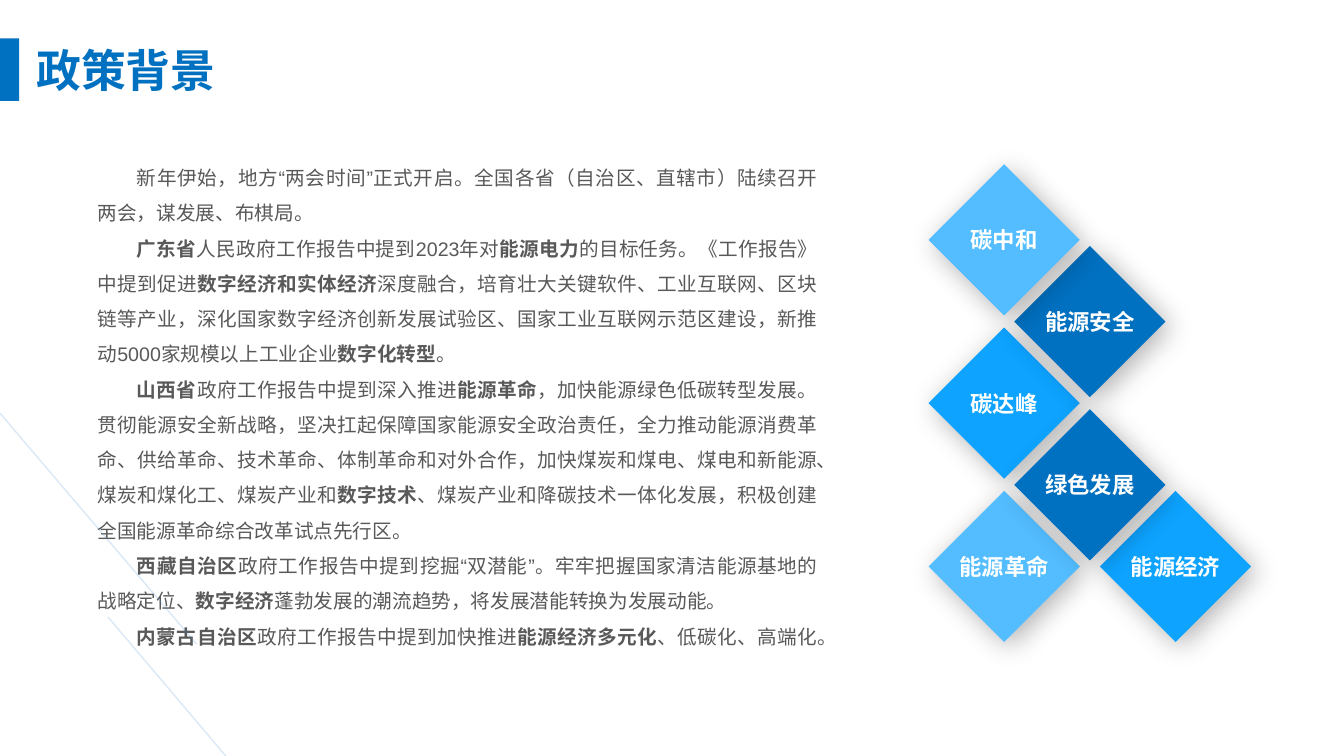
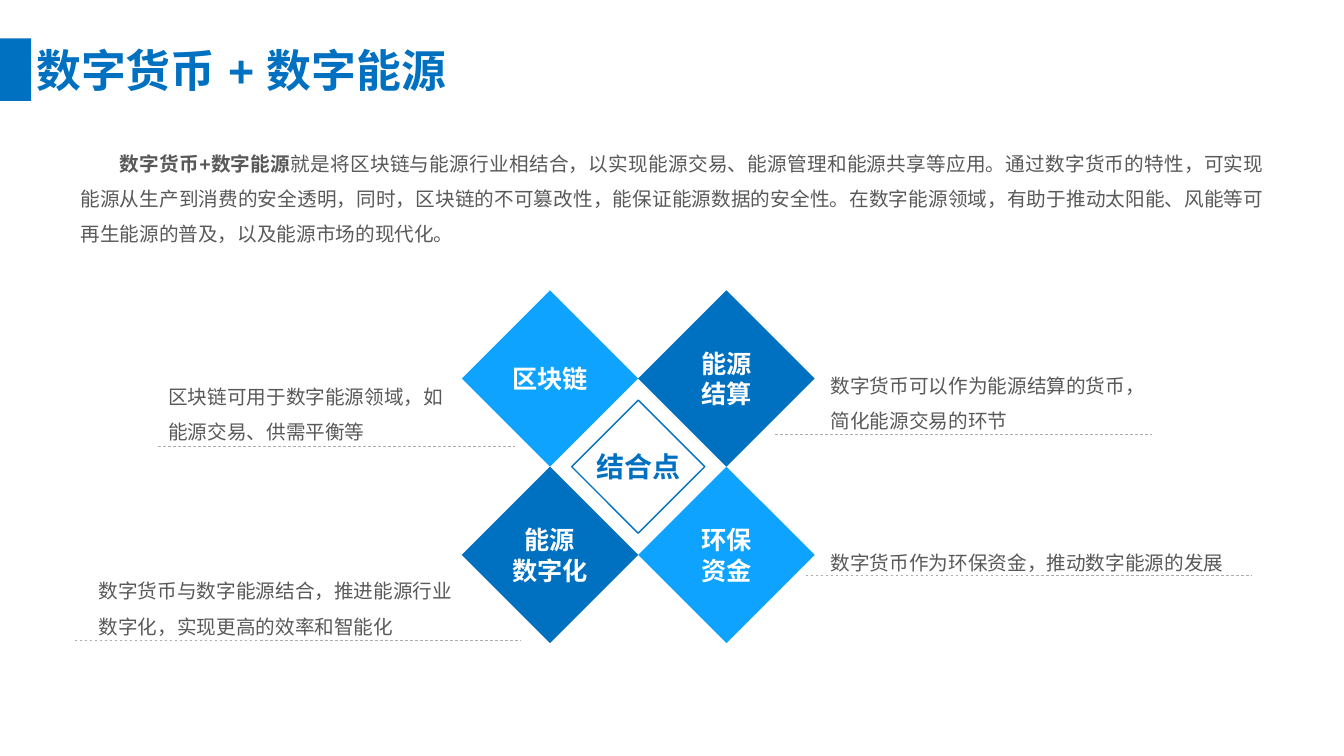
from dataclasses import dataclass

from lxml import etree
from pptx import Presentation
from pptx.dml.color import RGBColor
from pptx.enum.dml import MSO_LINE
from pptx.enum.lang import MSO_LANGUAGE_ID
from pptx.enum.shapes import MSO_CONNECTOR, MSO_SHAPE
from pptx.enum.text import MSO_ANCHOR, MSO_AUTO_SIZE, PP_ALIGN
from pptx.oxml.ns import qn
from pptx.util import Inches, Pt

LEFT, CENTER, JUSTIFY = PP_ALIGN.LEFT, PP_ALIGN.CENTER, PP_ALIGN.JUSTIFY
MIDDLE = MSO_ANCHOR.MIDDLE
NO_AUTOFIT = MSO_AUTO_SIZE.NONE
DIAMOND, RECTANGLE = MSO_SHAPE.DIAMOND, MSO_SHAPE.RECTANGLE
STRAIGHT = MSO_CONNECTOR.STRAIGHT
DASH = MSO_LINE.DASH
CHINESE = MSO_LANGUAGE_ID.SIMPLIFIED_CHINESE
TITLE_ONLY = 5


@dataclass(frozen=True)
class Theme:
    font: str = "Arial"
    deep: str = "0070C0"
    bright: str = "0DA3FF"
    light: str = "53BDFF"
    white: str = "FFFFFF"
    text: str = "595959"
    rule: str = "AFABAB"
    accent_line: str = "5B9BD5"
    title_size: int = 32
    hub_size: int = 20
    topic_size: int = 18
    label_size: int = 16
    body_size: int = 14


THEME = Theme()

POLICY_PARAGRAPHS = [
    "新年伊始，地方“两会时间”正式开启。全国各省（自治区、直辖市）陆续召开两会，谋发展、布棋局。",
    "**广东省**人民政府工作报告中提到2023年对**能源电力**的目标任务。《工作报告》中提到促进"
    "**数字经济和实体经济**深度融合，培育壮大关键软件、工业互联网、区块链等产业，"
    "深化国家数字经济创新发展试验区、国家工业互联网示范区建设，"
    "新推动5000家规模以上工业企业**数字化转型**。",
    "**山西省**政府工作报告中提到深入推进**能源革命**，加快能源绿色低碳转型发展。"
    "贯彻能源安全新战略，坚决扛起保障国家能源安全政治责任，"
    "全力推动能源消费革命、供给革命、技术革命、体制革命和对外合作，"
    "加快煤炭和煤电、煤电和新能源、煤炭和煤化工、煤炭产业和**数字技术**、"
    "煤炭产业和降碳技术一体化发展，积极创建全国能源革命综合改革试点先行区。",
    "**西藏自治区**政府工作报告中提到挖掘“双潜能”。牢牢把握国家清洁能源基地的战略定位、"
    "**数字经济**蓬勃发展的潮流趋势，将发展潜能转换为发展动能。",
    "**内蒙古自治区**政府工作报告中提到加快推进**能源经济多元化**、低碳化、高端化。",
]

# label, grid column, grid row, colour
POLICY_THEMES = [
    ("碳达峰", 0, 2, THEME.bright),
    ("能源安全", 1, 1, THEME.deep),
    ("碳中和", 0, 0, THEME.light),
    ("能源革命", 0, 4, THEME.light),
    ("能源经济", 2, 4, THEME.bright),
    ("绿色发展", 1, 3, THEME.deep),
]

CURRENCY_INTRO = (
    "**数字货币+数字能源**就是将区块链与能源行业相结合，以实现能源交易、能源管理和能源共享等应用。"
    "通过数字货币的特性，可实现能源从生产到消费的安全透明，同时，区块链的不可篡改性，"
    "能保证能源数据的安全性。在数字能源领域，有助于推动太阳能、风能等可再生能源的普及，"
    "以及能源市场的现代化。"
)

# label lines, grid column, grid row, colour
TOPICS = [
    (["区块链"], 0, 0, THEME.bright),
    (["能源", "结算"], 1, 0, THEME.deep),
    (["能源", "数字化"], 0, 1, THEME.deep),
    (["环保", "资金"], 1, 1, THEME.bright),
]

# caption, its box, rule start, rule end, rule height
CAPTIONS = [
    ("区块链可用于数字能源领域，如能源交易、供需平衡等",
     (1.57, 3.65, 3, 0.77), 1.57, 5.11, 4.43),
    ("数字货币可以作为能源结算的货币，简化能源交易的环节",
     (8.14, 3.54, 3.29, 0.77), 7.69, 11.43, 4.31),
    ("数字货币作为环保资金，推动数字能源的发展",
     (8.14, 5.3, 4.49, 0.42), 7.99, 12.42, 5.71),
    ("数字货币与数字能源结合，推进能源行业数字化，实现更高的效率和智能化",
     (0.88, 5.58, 3.83, 0.77), 0.74, 5.17, 6.35),
]


def rgb(color):
    return RGBColor.from_string(color)


def write_text(frame, paragraphs, *, size, color, bold=False, align=LEFT,
               spacing=1.0, indent=0):
    """Fill a text frame; parts between ** marks are bold."""
    for index, content in enumerate(paragraphs):
        paragraph = frame.paragraphs[0] if index == 0 else frame.add_paragraph()
        paragraph.alignment = align
        paragraph.line_spacing = spacing
        paragraph.space_before = Pt(0)
        if indent:
            paragraph._p.get_or_add_pPr().set("indent", str(Inches(indent)))
        for position, part in enumerate(content.split("**")):
            if not part:
                continue
            run = paragraph.add_run()
            run.text = part
            font = run.font
            font.name = THEME.font
            font.size = Pt(size)
            font.bold = bold or position % 2 == 1
            font.color.rgb = rgb(color)
            font.language_id = CHINESE
            latin = run._r.rPr.find(qn("a:latin"))
            east_asian = etree.Element(qn("a:ea"), typeface=THEME.font)
            latin.addnext(east_asian)


def clear_margins(frame):
    frame.margin_left = frame.margin_right = 0
    frame.margin_top = frame.margin_bottom = 0
    frame.vertical_anchor = MIDDLE


def add_body(slide, box, paragraphs, **text_format):
    frame = slide.shapes.add_textbox(*map(Inches, box)).text_frame
    frame.word_wrap = True
    write_text(frame, paragraphs, size=THEME.body_size, color=THEME.text,
               spacing=1.5, **text_format)


def add_shadow(shape):
    """Give the shape a soft shadow towards the lower right."""
    effects = shape._element.spPr.find(qn("a:effectLst"))
    shadow = etree.SubElement(
        effects, qn("a:outerShdw"), blurRad=str(Pt(20)), dist=str(Pt(5)),
        dir=str(45 * 60000), algn="tl", rotWithShape="0")
    tint = etree.SubElement(shadow, qn("a:srgbClr"), val="000000")
    etree.SubElement(tint, qn("a:alpha"), val="30000")


def add_diamond(slide, center, width, lines, *, size, fill=None,
                outline=None, color=THEME.white, shadow=False):
    x, y = center
    diamond = slide.shapes.add_shape(
        DIAMOND, Inches(x - width / 2), Inches(y - width / 2),
        Inches(width), Inches(width))
    diamond.shadow.inherit = False
    if fill:
        diamond.fill.solid()
        diamond.fill.fore_color.rgb = rgb(fill)
    else:
        diamond.fill.background()
    if outline:
        diamond.line.color.rgb = rgb(outline)
        diamond.line.width = Pt(1)
    else:
        diamond.line.fill.background()
    if shadow:
        add_shadow(diamond)
    frame = diamond.text_frame
    clear_margins(frame)
    frame.word_wrap = False
    write_text(frame, lines, size=size, color=color, bold=True, align=CENTER)


def add_line(slide, start, end, *, color, width, dash=None, opacity=None):
    line = slide.shapes.add_connector(
        STRAIGHT, *map(Inches, start), *map(Inches, end))
    line.line.color.rgb = rgb(color)
    line.line.width = Pt(width)
    if dash:
        line.line.dash_style = dash
    properties = line._element.spPr
    if opacity:
        tint = properties.find(".//" + qn("a:srgbClr"))
        etree.SubElement(tint, qn("a:alpha"), val=str(opacity * 1000))
    etree.SubElement(properties, qn("a:effectLst"))


def add_titled_slide(deck, title, bar_width):
    slide = deck.slides.add_slide(deck.slide_layouts[TITLE_ONLY])
    bar = slide.shapes.add_shape(
        RECTANGLE, 0, Inches(0.38), Inches(bar_width), Inches(0.62))
    bar.shadow.inherit = False
    bar.fill.solid()
    bar.fill.fore_color.rgb = rgb(THEME.deep)
    bar.line.fill.background()

    heading = slide.shapes.title
    heading.left, heading.top = Inches(0.36), Inches(0.37)
    heading.width, heading.height = Inches(12), Inches(0.64)
    frame = heading.text_frame
    clear_margins(frame)
    frame.auto_size = NO_AUTOFIT
    write_text(frame, [title], size=THEME.title_size, color=THEME.deep, bold=True)
    return slide


def build_policy_slide(deck):
    slide = add_titled_slide(deck, "政策背景", 0.19)
    add_body(slide, (0.87, 1.48, 7.34, 5.37), POLICY_PARAGRAPHS,
             align=JUSTIFY, indent=0.39)
    for label, column, row, color in POLICY_THEMES:
        center = (9.96 + 0.85 * column, 2.38 + 0.81 * row)
        add_diamond(slide, center, 1.5, [label], size=THEME.label_size,
                    fill=color, shadow=True)
    for start, end in (((1.07, 6.12), (2.24, 7.5)), ((0, 4.1), (1.95, 6.39))):
        add_line(slide, start, end, color=THEME.accent_line, width=1, opacity=21)


def build_currency_slide(deck):
    slide = add_titled_slide(deck, "数字货币 + 数字能源", 0.31)
    add_body(slide, (0.7, 1.34, 11.94, 1.12), [CURRENCY_INTRO],
             align=JUSTIFY, indent=0.39)
    hub_x, hub_y, topic_width = 6.33, 4.63, 1.75
    for lines, column, row, color in TOPICS:
        center = (hub_x + (column - 0.5) * topic_width,
                  hub_y + (row - 0.5) * topic_width)
        add_diamond(slide, center, topic_width, lines,
                    size=THEME.topic_size, fill=color)
    add_diamond(slide, (hub_x, hub_y), 1.32, ["结合点"], size=THEME.hub_size,
                outline=THEME.deep, color=THEME.deep)
    for caption, box, rule_start, rule_end, rule_y in CAPTIONS:
        add_body(slide, box, [caption])
        add_line(slide, (rule_start, rule_y), (rule_end, rule_y),
                 color=THEME.rule, width=0.5, dash=DASH)


def main():
    deck = Presentation()
    deck.slide_width, deck.slide_height = Inches(13.33), Inches(7.5)
    build_policy_slide(deck)
    build_currency_slide(deck)
    deck.save("out.pptx")


if __name__ == "__main__":
    main()
